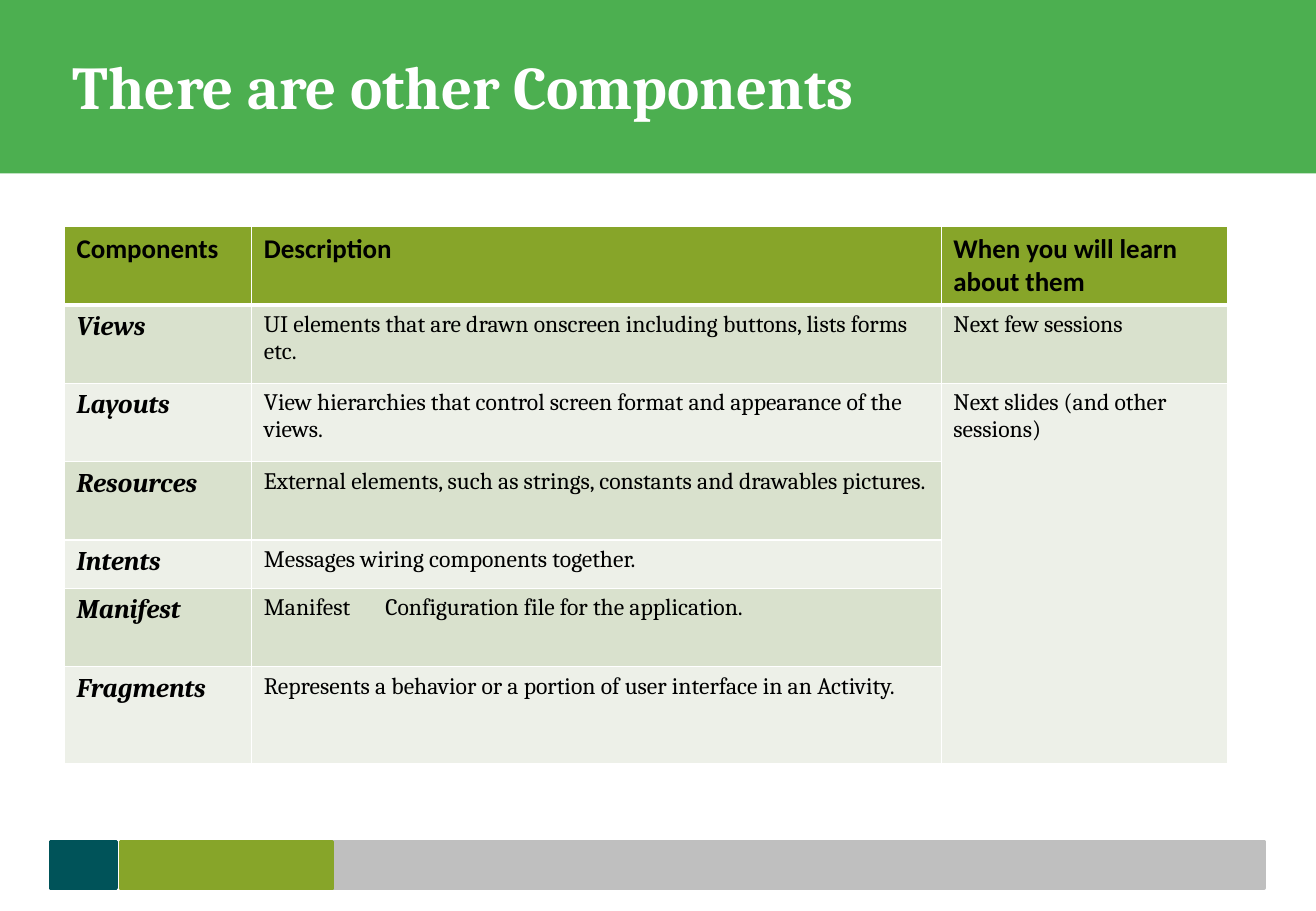
from pptx import Presentation
from pptx.dml.color import RGBColor
from pptx.enum.shapes import MSO_SHAPE
from pptx.enum.text import MSO_ANCHOR, MSO_AUTO_SIZE, PP_ALIGN
from pptx.oxml.ns import qn
from pptx.util import Emu, Pt
from lxml.etree import SubElement

WHITE = RGBColor(0xFF, 0xFF, 0xFF)
BLACK = RGBColor(0x00, 0x00, 0x00)
GREEN = RGBColor(0x4C, 0xAF, 0x50)
OLIVE = RGBColor(0x87, 0xA5, 0x29)
TEAL = RGBColor(0x00, 0x53, 0x59)
GREY = RGBColor(0xBF, 0xBF, 0xBF)
BANDS = [RGBColor(0xD9, 0xE1, 0xCD), RGBColor(0xED, 0xF0, 0xE8)]

COLUMNS = [148, 545, 226]
ROW_HEIGHTS = [62, 62, 62, 62, 38, 62, 77]
ROWS = [
    ["Components", "Description", "When you will learn about them"],
    ["Views", "UI elements that are drawn onscreen including buttons, lists forms etc.",
     "Next few sessions"],
    ["Layouts", "View hierarchies that control screen format and appearance of the views.",
     "Next slides (and other sessions)"],
    ["Resources", "External elements, such as strings, constants and drawables pictures.", ""],
    ["Intents", "Messages wiring components together.", ""],
    ["Manifest", "Manifest\tConfiguration file for the application.", ""],
    ["Fragments", "Represents a behavior or a portion of user interface in an Activity.", ""],
]


def px(n):
    return Emu(n * 9525)


def add_bar(s, box, color, outlined=True):
    sp = s.shapes.add_shape(MSO_SHAPE.RECTANGLE, *map(px, box))
    sp.shadow.inherit = False
    sp.fill.solid()
    sp.fill.fore_color.rgb = color
    if outlined:
        sp.line.color.rgb = color
        sp.line.width = Pt(2)
    else:
        sp.line.fill.background()


def format_text(tf, font, size, color, bold, italic=False):
    for p in tf.paragraphs:
        for r in p.runs:
            r.font.name = font
            r.font.size = Pt(size)
            r.font.color.rgb = color
            r.font.bold = bold
            r.font.italic = italic


def add_header(s, box, text):
    left, top, width, height = box
    add_bar(s, box, GREEN, outlined=False)
    title = s.shapes.title
    title.left, title.top = px(left + 48), px(top + 29)
    title.width, title.height = px(864), px(52)
    title.element.getparent().append(title.element)
    tf = title.text_frame
    tf.text = text
    tf.word_wrap = True
    tf.auto_size = MSO_AUTO_SIZE.NONE
    tf.vertical_anchor = MSO_ANCHOR.TOP
    tf.margin_left = tf.margin_right = tf.margin_top = tf.margin_bottom = Pt(7.2)
    tf.paragraphs[0].alignment = PP_ALIGN.LEFT
    format_text(tf, "Cambria", 36, WHITE, True)


def add_footer(s, box):
    left, top, width, height = box
    for x, w, color in [(0, 52, TEAL), (223, width - 223, GREY), (55, 168, OLIVE)]:
        add_bar(s, (left + x, top, w, height), color)


def set_borders(cell, top, bottom):
    tcPr = cell._tc.get_or_add_tcPr()
    for side, width in [("L", 1), ("R", 1), ("T", top), ("B", bottom)]:
        ln = SubElement(tcPr, qn("a:ln" + side), w=str(Pt(width)))
        fill = SubElement(ln, qn("a:solidFill"))
        SubElement(fill, qn("a:srgbClr"), val=str(WHITE))


def add_components_table(s, box):
    table = s.shapes.add_table(len(ROWS), len(COLUMNS), *map(px, box)).table
    for column, width in zip(table.columns, COLUMNS):
        column.width = px(width)
    for row, height in zip(table.rows, ROW_HEIGHTS):
        row.height = px(height)
    table.cell(2, 2).merge(table.cell(6, 2))
    for i, row in enumerate(ROWS):
        for j, text in enumerate(row):
            cell = table.cell(i, j)
            set_borders(cell, 3 if i == 1 else 1, 3 if i == 0 else 1)
            cell.fill.solid()
            cell.fill.fore_color.rgb = BANDS[(i - 1) % 2] if i else OLIVE
            if cell.is_spanned:
                continue
            cell.text_frame.text = text
            if i == 0:
                format_text(cell.text_frame, "Calibri", 16, BLACK, True)
            elif j == 0:
                format_text(cell.text_frame, "Cambria", 16, BLACK, True, True)
            else:
                format_text(cell.text_frame, "Cambria", 14, BLACK, False)


def main():
    prs = Presentation()
    prs.slide_width, prs.slide_height = px(1040), px(720)
    s = prs.slides.add_slide(prs.slide_layouts.get_by_name("Title Only"))
    add_footer(s, (40, 665, 959, 37))
    add_header(s, (0, 0, 1040, 137), "There are other Components")
    add_components_table(s, (51, 179, sum(COLUMNS), sum(ROW_HEIGHTS)))
    prs.save("out.pptx")


if __name__ == "__main__":
    main()
